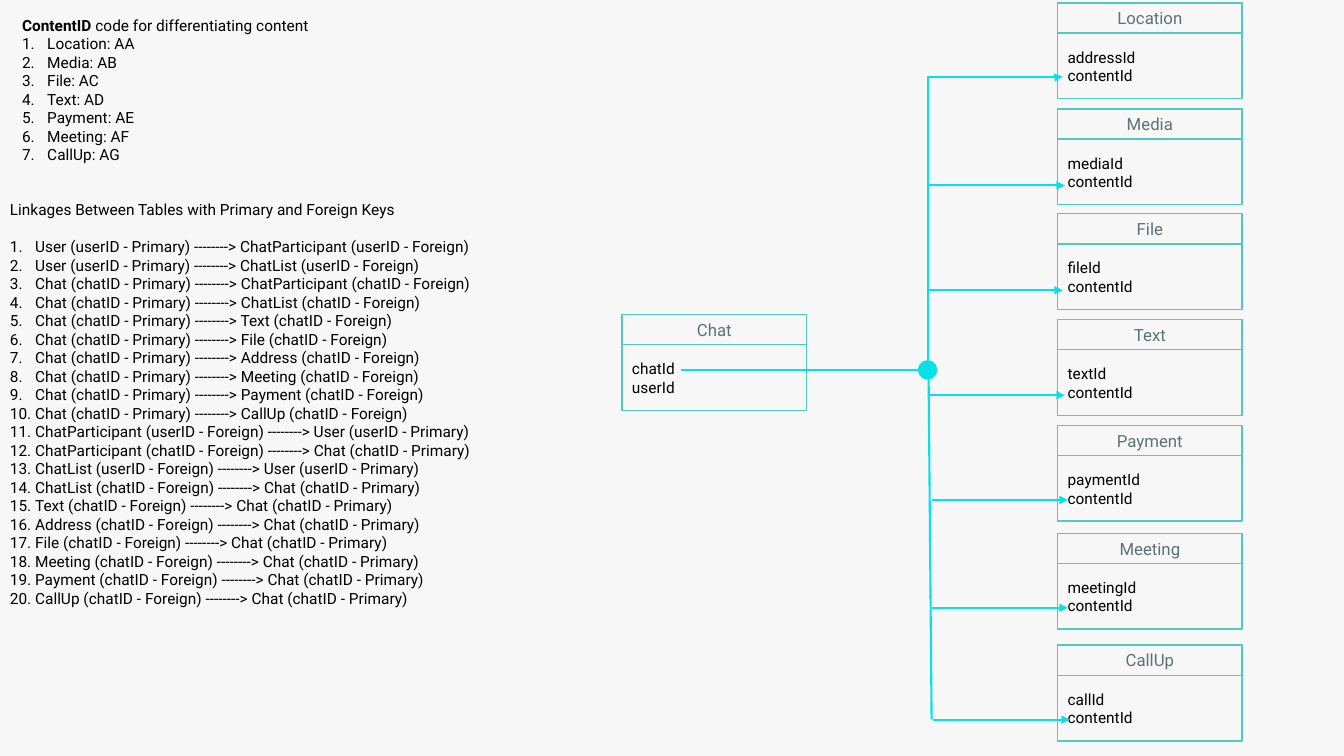
from dataclasses import dataclass

from lxml import etree
from pptx import Presentation
from pptx import util as u
from pptx.dml.color import RGBColor
from pptx.enum import shapes, text
from pptx.oxml.ns import qn

BACKGROUND = RGBColor(0xF7, 0xF7, 0xF7)
BORDER = RGBColor(0x52, 0xC9, 0xBD)
HEADING = RGBColor(0x5D, 0x73, 0x73)
INK = RGBColor(0x00, 0x00, 0x00)
CYAN = RGBColor(0x05, 0xE1, 0xE7)
FONT = "Roboto"
CARD_WIDTH, CARD_HEIGHT, HEADER_HEIGHT = 1.83, 0.95, 0.3
CONTENT_LEFT = 10.49


@dataclass
class Entity:
    name: str
    fields: list[str]
    left: float
    top: float


@dataclass
class Link:
    x1: float
    y1: float
    x2: float
    y2: float
    arrow: bool = True


@dataclass
class Linkage:
    owner: str
    child: str
    from_owner: bool

    def label(self) -> str:
        key = f"{self.owner.lower()}ID"
        ends = [f"{self.owner} ({key} - Primary)", f"{self.child} ({key} - Foreign)"]
        return " --------> ".join(ends if self.from_owner else ends[::-1])


CONTENT_TOPS = {
    "Location": ("addressId", 0.03),
    "Media": ("mediaId", 1.08),
    "File": ("fileId", 2.12),
    "Text": ("textId", 3.17),
    "Payment": ("paymentId", 4.22),
    "Meeting": ("meetingId", 5.29),
    "CallUp": ("callId", 6.4),
}
ENTITIES = [Entity("Chat", ["chatId", "userId"], 6.17, 3.12)] + [
    Entity(name, [key, "contentId"], CONTENT_LEFT, top)
    for name, (key, top) in CONTENT_TOPS.items()
]
LINKS = [
    Link(6.75, 3.67, 9.28, 3.67),
    Link(9.2, 1.84, 10.56, 1.84),
    Link(9.19, 2.88, 10.54, 2.88),
    Link(9.2, 3.92, 10.56, 3.92),
    Link(9.24, 4.96, 10.59, 4.96),
    Link(9.24, 6.03, 10.59, 6.03),
    Link(9.25, 7.14, 10.61, 7.14),
    Link(9.21, 3.72, 9.24, 7.14, arrow=False),
]
CONTENT_CODES = [f"{name}: A{letter}" for name, letter in zip(CONTENT_TOPS, "ABCDEFG")]
SHARED = ["ChatParticipant", "ChatList"]
LINKAGES = (
    [Linkage("User", child, True) for child in SHARED]
    + [Linkage("Chat", child, True) for child in
       SHARED + ["Text", "File", "Address", "Meeting", "Payment", "CallUp"]]
    + [Linkage(owner, child, False) for child in SHARED for owner in ("User", "Chat")]
    + [Linkage("Chat", child, False) for child in
       ["Text", "Address", "File", "Meeting", "Payment", "CallUp"]]
)


def style_text(frame, size: float, color: RGBColor) -> None:
    for paragraph in frame.paragraphs:
        for run in paragraph.runs:
            run.font.name = FONT
            run.font.size = u.Pt(size)
            run.font.color.rgb = color


def add_text(parent, left: float, top: float, width: float, height: float,
             lines: list[str]):
    box = parent.add_textbox(*map(u.Inches, (left, top, width, height)))
    frame = box.text_frame
    frame.word_wrap = True
    frame.auto_size = text.MSO_AUTO_SIZE.SHAPE_TO_FIT_TEXT
    frame.text = "\n".join(lines)
    style_text(frame, 11, INK)
    return frame


def number_items(paragraphs) -> None:
    for paragraph in paragraphs:
        props = paragraph._p.get_or_add_pPr()
        props.set("marL", str(u.Inches(0.25)))
        props.set("indent", str(u.Inches(-0.25)))
        etree.SubElement(props, qn("a:buFont"), typeface=FONT)
        etree.SubElement(props, qn("a:buAutoNum"), type="arabicPeriod")


def add_frame(parent, entity: Entity, height: float):
    frame = parent.add_shape(
        shapes.MSO_SHAPE.RECTANGLE,
        *map(u.Inches, (entity.left, entity.top, CARD_WIDTH, height)))
    frame.shadow.inherit = False
    frame.fill.background()
    frame.line.color.rgb = BORDER
    frame.line.width = u.Pt(1)
    return frame


def add_entity(slide, entity: Entity) -> None:
    card = slide.shapes.add_group_shape().shapes
    add_frame(card, entity, CARD_HEIGHT)
    header = add_frame(card, entity, HEADER_HEIGHT).text_frame
    header.text = entity.name
    header.vertical_anchor = text.MSO_ANCHOR.MIDDLE
    header.paragraphs[0].alignment = text.PP_ALIGN.CENTER
    style_text(header, 12, HEADING)
    add_text(card, entity.left, entity.top + 0.395, CARD_WIDTH, 0.47, entity.fields)


def add_link(slide, link: Link, kind=shapes.MSO_CONNECTOR.STRAIGHT):
    connector = slide.shapes.add_connector(
        kind, *map(u.Inches, (link.x1, link.y1, link.x2, link.y2)))
    connector.line.color.rgb = CYAN
    connector.line.width = u.Pt(1.5)
    if link.arrow:
        etree.SubElement(connector.line._get_or_add_ln(), qn("a:tailEnd"), type="triangle")
    etree.SubElement(connector._element.spPr, qn("a:effectLst"))
    return connector


def main() -> None:
    deck = Presentation()
    deck.slide_width, deck.slide_height = u.Inches(13.33), u.Inches(7.5)
    slide = deck.slides.add_slide(deck.slide_layouts[6])
    slide.background.fill.solid()
    slide.background.fill.fore_color.rgb = BACKGROUND

    # Entity cards
    for entity in ENTITIES:
        add_entity(slide, entity)

    # Links from Chat to each kind of content
    for link in LINKS:
        add_link(slide, link)

    # Bent link up to Location: a quarter turn makes it leave the hub vertically
    location_link = add_link(slide, Link(11.28, 2.84, 8.46, 1.5),
                             shapes.MSO_CONNECTOR.ELBOW)
    properties = location_link._element.spPr
    properties.find(qn("a:xfrm")).set("rot", "5400000")
    adjustments = properties.find(qn("a:prstGeom")).find(qn("a:avLst"))
    etree.SubElement(adjustments, qn("a:gd"), name="adj1", fmla="val 99700")

    # Hub
    hub = slide.shapes.add_shape(shapes.MSO_SHAPE.OVAL,
                                 *map(u.Inches, (9.11, 3.58, 0.18, 0.18)))
    hub.shadow.inherit = False
    hub.fill.solid()
    hub.fill.fore_color.rgb = CYAN
    hub.line.color.rgb = CYAN
    hub.line.width = u.Pt(1)

    # Content codes
    codes = add_text(slide.shapes, 0.12, 0.11, 3.81, 1.58, ["ContentID "] + CONTENT_CODES)
    title = codes.paragraphs[0]
    title.add_run().text = "code for differentiating content"
    style_text(codes, 11, INK)
    title.runs[0].font.bold = True
    number_items(codes.paragraphs[1:])

    # Table linkages
    linkages = add_text(slide.shapes, 0, 1.94, 6.17, 4.36,
                        ["Linkages Between Tables with Primary and Foreign Keys"]
                        + [linkage.label() for linkage in LINKAGES])
    linkages.paragraphs[0].space_after = u.Pt(13.2)
    number_items(linkages.paragraphs[1:])

    deck.save("out.pptx")


if __name__ == "__main__":
    main()
